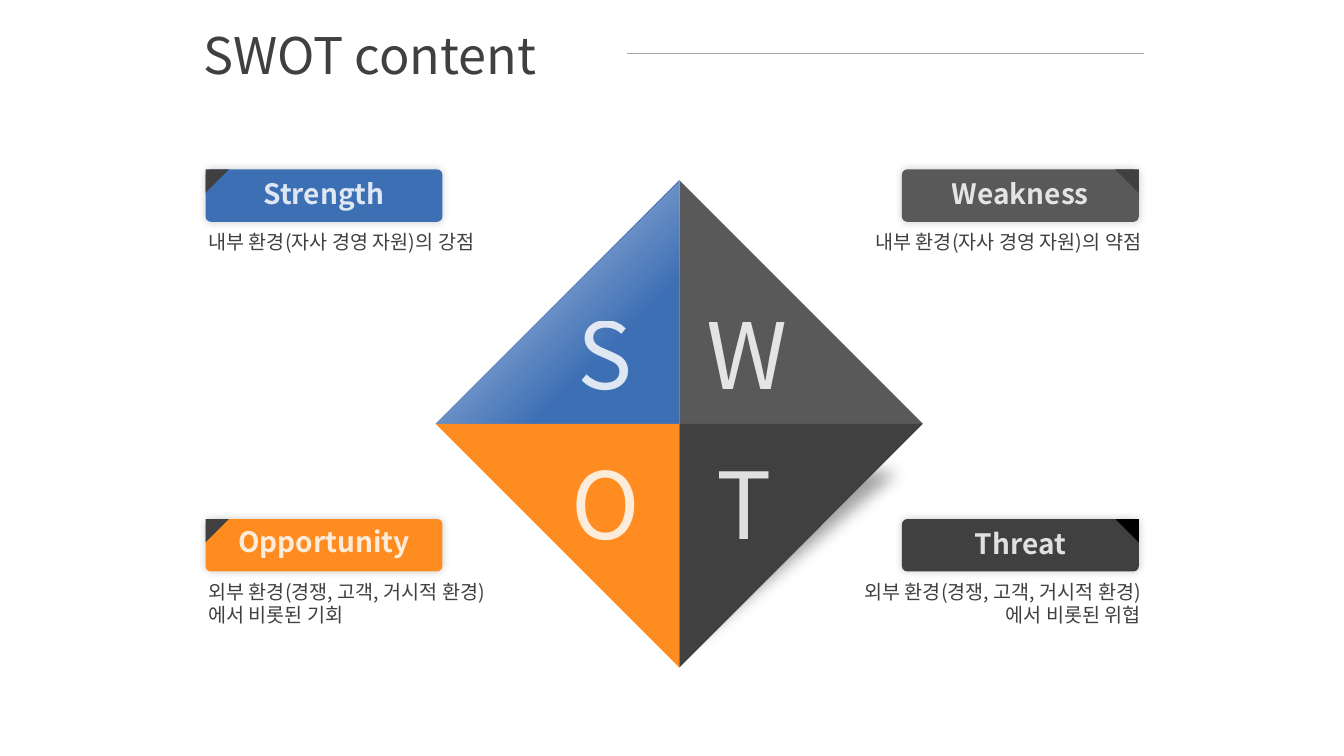
import lxml.etree
import pptx
import pptx.dml.color
import pptx.enum.shapes
import pptx.enum.text
import pptx.oxml.ns
import pptx.util

Cm = pptx.util.Cm
qn = pptx.oxml.ns.qn
ALIGN = pptx.enum.text.PP_ALIGN

COLORS = {
    "blue": "3D6FB5",
    "gray": "595959",
    "orange": "FE8C21",
    "dark": "404040",
    "black": "000000",
    "white": "FFFFFF",
    "shadow": "808080",
    "rule": "A6A6A6",
}
LABEL_INSETS = (0.25, 0, 0.25, 0.13)
BODY_INSETS = (0.25, 0.13, 0.25, 0.13)


def rgb(name):
    return pptx.dml.color.RGBColor.from_string(COLORS[name])


def add_child(parent, tag, **attributes):
    child = lxml.etree.SubElement(parent, qn(tag))
    for name, value in attributes.items():
        child.set(name, str(value))
    return child


def set_opacity(color_element, percent):
    add_child(color_element, "a:alpha", val=percent * 1000)


def write_text(shape, text, size, color="dark", font="Noto Sans CJK KR", bold=False,
               align=ALIGN.LEFT, insets=BODY_INSETS, wrap=True, opacity=100):
    frame = shape.text_frame
    frame.word_wrap = wrap
    frame.auto_size = pptx.enum.text.MSO_AUTO_SIZE.SHAPE_TO_FIT_TEXT
    frame.margin_left, frame.margin_top, frame.margin_right, frame.margin_bottom = map(Cm, insets)
    frame.text = text
    for paragraph in frame.paragraphs:
        paragraph.alignment = align
        for run in paragraph.runs:
            run.font.size = pptx.util.Pt(size)
            run.font.bold = bold
            run.font.color.rgb = rgb(color)
            run.font.name = font
            properties = run.font._element
            add_child(properties, "a:ea", typeface=font)
            if opacity < 100:
                set_opacity(properties.find(".//" + qn("a:srgbClr")), opacity)


class SlideBuilder:
    def __init__(self, slide):
        self.slide = slide
        self.shapes = slide.shapes

    def paint(self, shape, color, opacity=100):
        shape.shadow.inherit = False
        shape.line.fill.background()
        shape.fill.solid()
        shape.fill.fore_color.rgb = rgb(color)
        if opacity < 100:
            set_opacity(shape._element.spPr.find(".//" + qn("a:srgbClr")), opacity)

    def text(self, text, left, top, width, height, **style):
        box = self.shapes.add_textbox(Cm(left), Cm(top), Cm(width), Cm(height))
        write_text(box, text, **style)

    def badge(self, left, top, width, height, color):
        shape = self.shapes.add_shape(pptx.enum.shapes.MSO_SHAPE.ROUNDED_RECTANGLE,
                                      Cm(left), Cm(top), Cm(width), Cm(height))
        shape.adjustments[0] = 0.1
        self.paint(shape, color)
        effects = shape._element.spPr.find(qn("a:effectLst"))
        shadow = add_child(effects, "a:outerShdw", blurRad=pptx.util.Pt(6), dist=0,
                           dir=315 * 60000, algn="ctr", rotWithShape=0)
        set_opacity(add_child(shadow, "a:srgbClr", val=COLORS["black"]), 20)

    def triangle(self, points, color, opacity=100):
        corners = [(Cm(x), Cm(y)) for x, y in points]
        builder = self.shapes.build_freeform(*corners[0])
        builder.add_line_segments(corners[1:], close=True)
        shape = builder.convert_to_shape()
        self.paint(shape, color, opacity)
        return shape

    def soft_triangle(self, points, color, opacity, radius):
        shape = self.triangle(points, color, opacity)
        effects = shape._element.spPr.find(qn("a:effectLst"))
        add_child(effects, "a:softEdge", rad=pptx.util.Pt(radius))

    def sheen(self, points, stops):
        shape = self.triangle(points, "white")
        shape.fill.gradient()
        shape.fill.gradient_angle = 315
        for stop, (position, opacity) in zip(shape.fill.gradient_stops, stops):
            stop.position = position
            stop.color.rgb = rgb("white")
        colors = shape._element.spPr.iter(qn("a:srgbClr"))
        for color, (position, opacity) in zip(list(colors), stops):
            set_opacity(color, opacity)

    def line(self, start, end, color, width):
        connector = self.shapes.add_connector(pptx.enum.shapes.MSO_CONNECTOR.STRAIGHT,
                                              *map(Cm, start + end))
        connector.line.color.rgb = rgb(color)
        connector.line.width = pptx.util.Pt(width)
        add_child(connector._element.spPr, "a:effectLst")


presentation = pptx.Presentation()
presentation.slide_width = Cm(33.87)
presentation.slide_height = Cm(19.05)
builder = SlideBuilder(presentation.slides.add_slide(presentation.slide_layouts[6]))

CENTER_X, CENTER_Y, RADIUS = 17.12, 10.68, 6.14
BADGE_WIDTH, BADGE_HEIGHT, FOLD = 5.97, 1.32, 0.59
BADGE_LEFT = {-1: 5.18, 1: 22.73}
BADGE_TOP = {-1: 4.27, 1: 13.08}
BODY_LEFT = {-1: 5.0, 1: 19.28}
LETTER_X = {-1: 15.26, 1: 18.76}
LETTER_TOP = {-1: 7.37, 1: 11.13}
LETTER_WIDTH = 2.4

QUADRANTS = [
    (-1, -1, "Strength", "blue", "dark", 0.18, "내부 환경(자사 경영 자원)의 강점"),
    (1, -1, "Weakness", "gray", "dark", 0.18, "내부 환경(자사 경영 자원)의 약점"),
    (-1, 1, "Opportunity", "orange", "dark", 0.13, "외부 환경(경쟁, 고객, 거시적 환경)\n에서 비롯된 기회"),
    (1, 1, "Threat", "dark", "black", 0.18, "외부 환경(경쟁, 고객, 거시적 환경)\n에서 비롯된 위협"),
]


def quadrant_points(side, level):
    return [(CENTER_X, CENTER_Y), (CENTER_X + side * RADIUS, CENTER_Y),
            (CENTER_X, CENTER_Y + level * RADIUS)]


builder.soft_triangle([(23.9, 11.58), (17.04, 17.3), (17.6, 11.02)], "shadow", 75, 12)
builder.text("SWOT content", 4.88, 0.61, 18.59, 1.68, size=36, insets=LABEL_INSETS)
builder.line((15.8, 1.35), (28.83, 1.35), "rule", 0.5)

for side, level, name, color, fold_color, label_drop, description in QUADRANTS:
    left, top = BADGE_LEFT[side], BADGE_TOP[level]
    builder.triangle(quadrant_points(side, level), color)
    builder.badge(left, top, BADGE_WIDTH, BADGE_HEIGHT, color)
    builder.text(name, left, top + label_drop, BADGE_WIDTH, 0.99, size=20, color="white",
                 bold=True, align=ALIGN.CENTER, insets=LABEL_INSETS, opacity=84)
    builder.text(description, BODY_LEFT[side], top + 1.4, 9.73,
                 1.45 if "\n" in description else 0.86, size=14,
                 align=ALIGN.LEFT if side < 0 else ALIGN.RIGHT)
    builder.text(name[0], LETTER_X[side] - LETTER_WIDTH / 2, LETTER_TOP[level],
                 LETTER_WIDTH, 3.07, size=66, color="white", align=ALIGN.CENTER,
                 wrap=False, opacity=84)
    corner = left if side < 0 else left + BADGE_WIDTH
    builder.triangle([(corner, top), (corner - side * FOLD, top), (corner, top + FOLD)],
                     fold_color)

builder.sheen(quadrant_points(-1, -1), [(0.5, 23), (0.7, 0)])

presentation.save("out.pptx")
